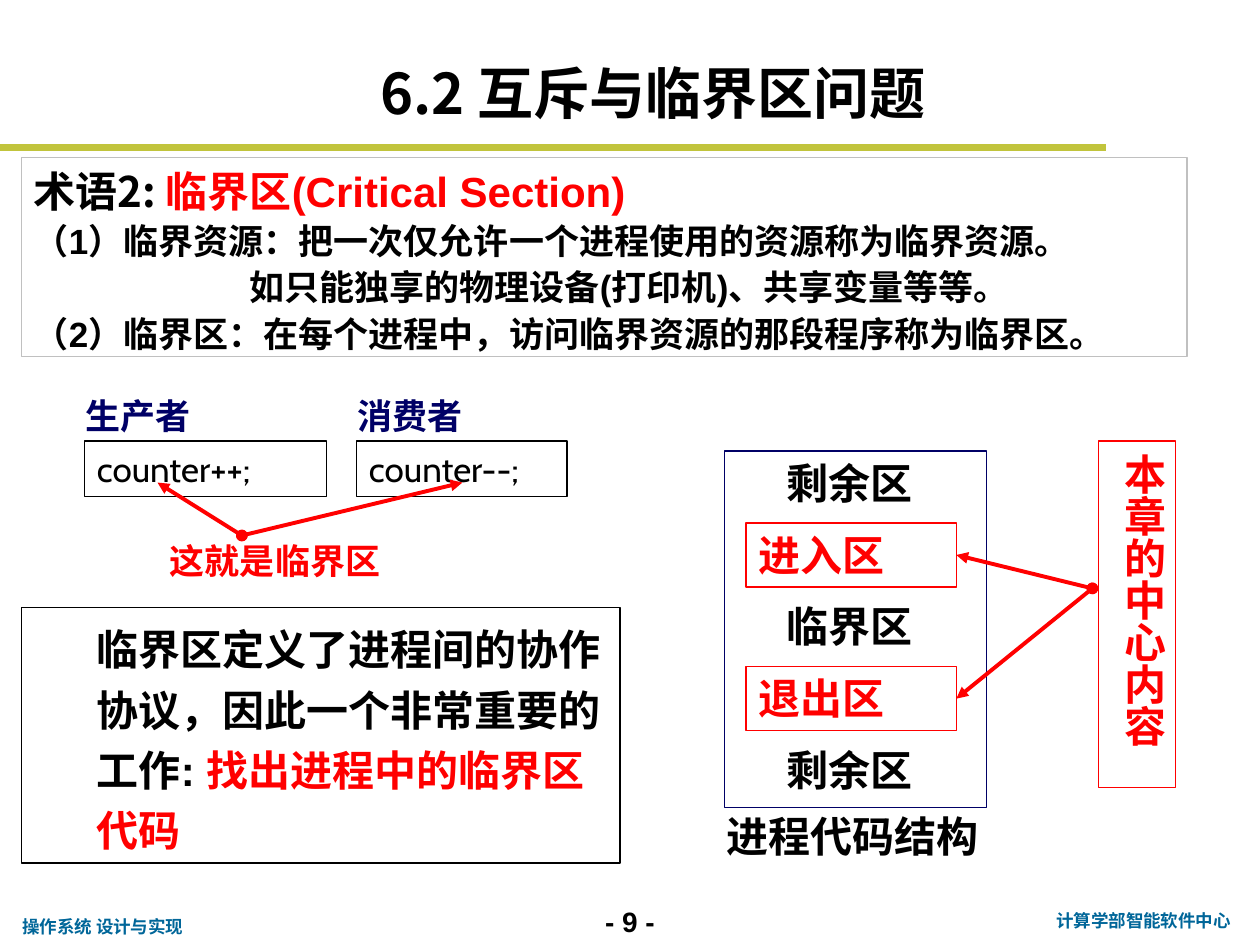
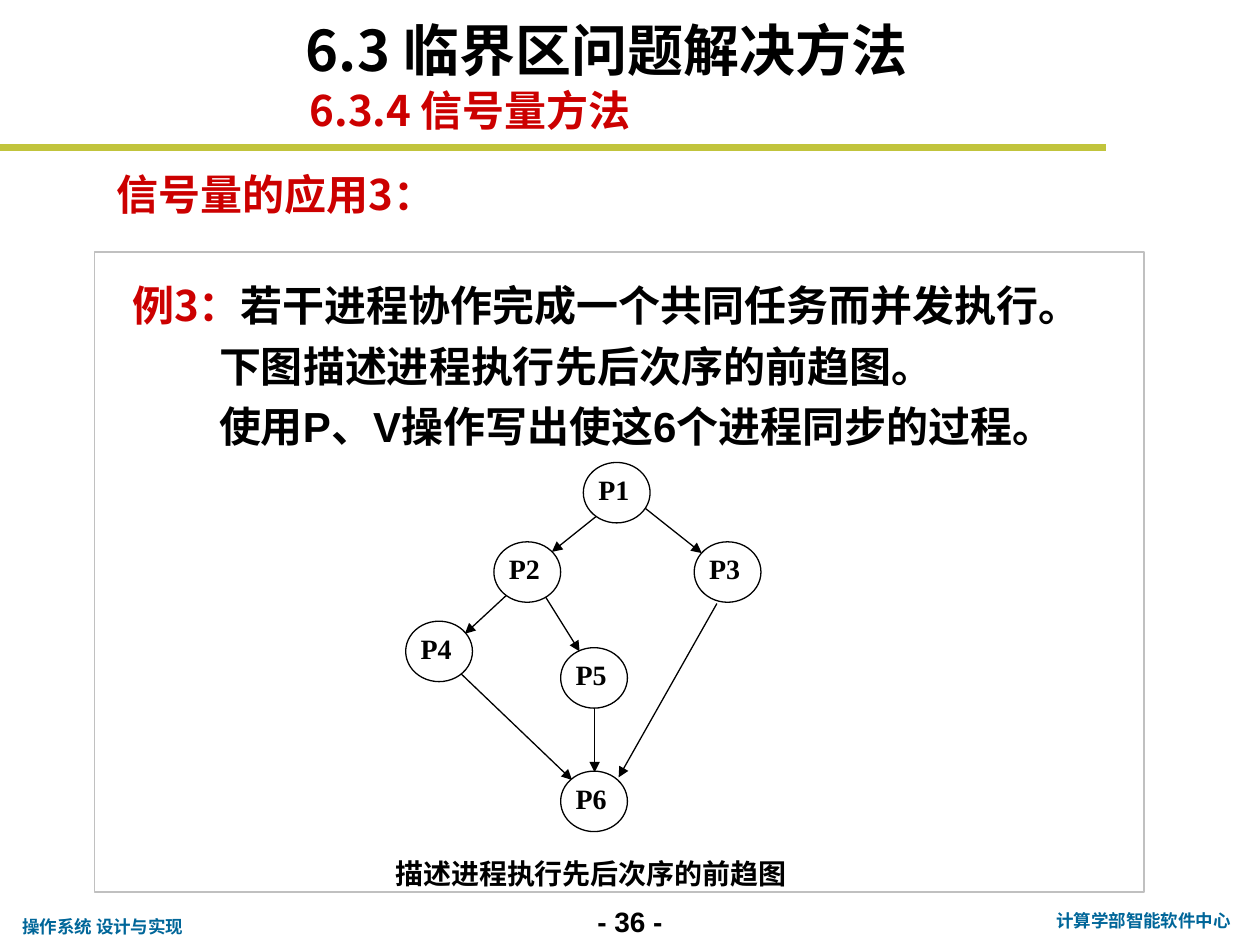
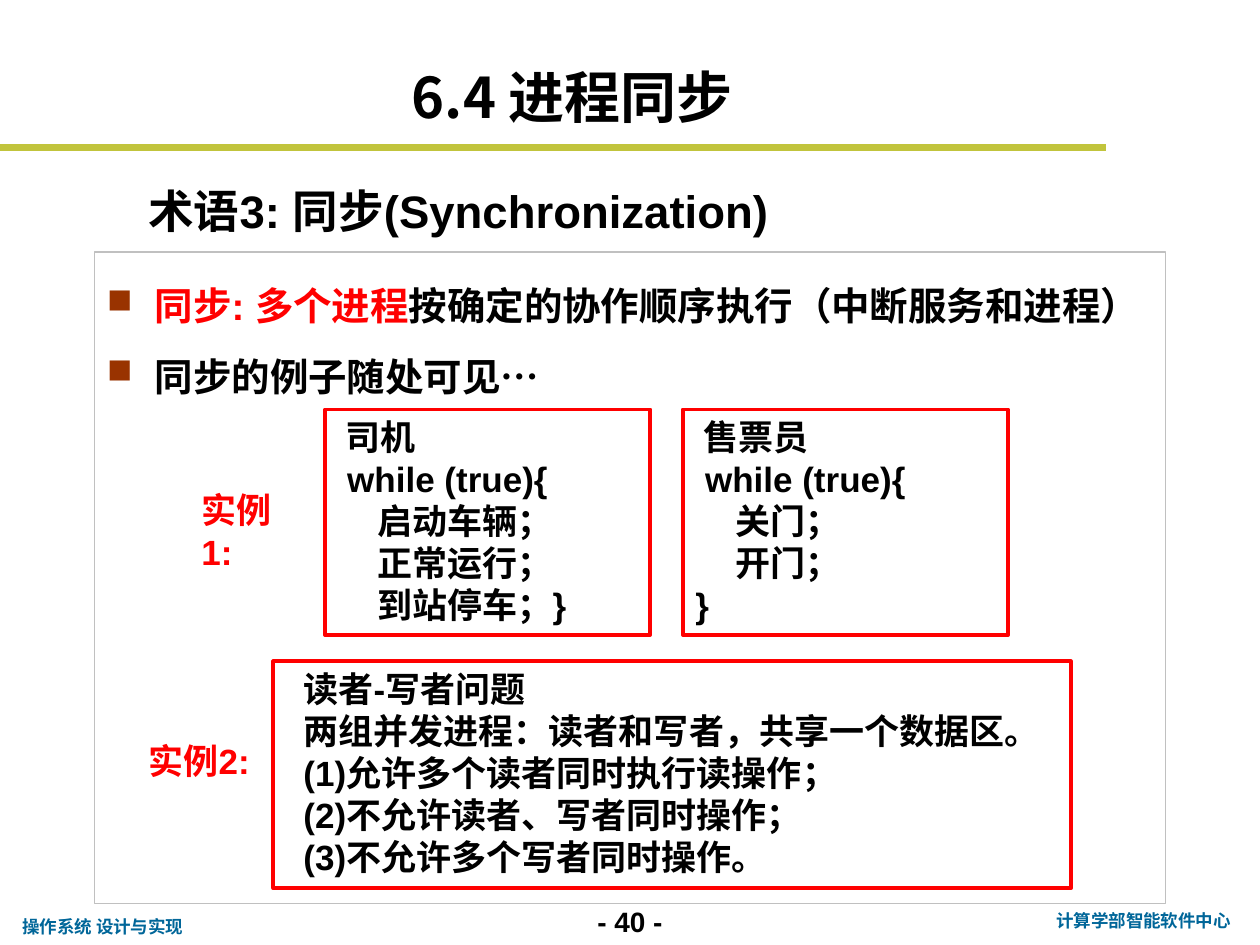
from lxml.etree import SubElement
from pptx import Presentation
from pptx.dml.color import RGBColor
from pptx.enum.shapes import MSO_CONNECTOR, MSO_SHAPE as Form
from pptx.enum.text import MSO_ANCHOR as Anchor, PP_ALIGN as Align
from pptx.oxml.ns import qn
from pptx.util import Inches, Pt

BLACK, RED, CRIMSON, NAVY = "000000", "FF0000", "CC0000", "000066"
GREY, WHITE, TEAL, OLIVE, BROWN = "C0C0C0", "FFFFFF", "006699", "C1C43C", "993300"
ARIAL, NOTO, TIMES, CABIN = "Arial", "Noto Sans CJK SC", "Times New Roman", "Cabin"


def hue(code):
    return RGBColor.from_string(code)


def mark(para, char):
    props = para._p.get_or_add_pPr()
    tint = SubElement(props, qn("a:buClr"))
    SubElement(tint, qn("a:srgbClr"), val=BROWN)
    SubElement(props, qn("a:buSzPct"), val="90000")
    SubElement(props, qn("a:buChar"), char=char)


def style(run, size, font, color, bold):
    face = run.font
    face.size, face.bold, face.name = Pt(size), bold, font
    face.color.rgb = hue(color)
    SubElement(run._r.get_or_add_rPr(), qn("a:ea"), typeface=NOTO)


def put(slide, box, *paras, size=20, font=ARIAL, color=BLACK, bold=True,
        align=Align.LEFT, anchor=Anchor.TOP, top=0.05, left=0, hang=0,
        spacing=None, bullet=None, line=None, weight=0.75, fill=None,
        form=Form.RECTANGLE, vert=None):
    """Place text. A paragraph is a string or a list of runs; a run is a
    string or (string, format); a dict in the list sets the left indent."""
    place = [Inches(n) for n in box]
    if line:
        shape = slide.shapes.add_shape(form, *place)
        shape.shadow.inherit = False
        shape.line.color.rgb = hue(line)
        shape.line.width = Pt(weight)
        if fill:
            shape.fill.solid()
            shape.fill.fore_color.rgb = hue(fill)
        else:
            shape.fill.background()
    else:
        shape = slide.shapes.add_textbox(*place)
    frame = shape.text_frame
    frame.word_wrap = True
    frame.vertical_anchor = anchor
    frame.margin_top = Inches(top)
    if vert:
        shape.element.txBody.bodyPr.set("vert", vert)
    base = dict(size=size, font=font, color=color, bold=bold)
    for i, runs in enumerate(paras):
        para = frame.paragraphs[0] if i == 0 else frame.add_paragraph()
        runs = [runs] if isinstance(runs, str) else runs
        start = left
        if bullet:
            mark(para, bullet)
        for part in runs:
            if isinstance(part, dict):
                start = part["left"]
                continue
            words, extra = (part, {}) if isinstance(part, str) else part
            run = para.add_run()
            run.text = words
            style(run, **{**base, **extra})
        props = para._p.get_or_add_pPr()
        props.set("marL", str(Inches(start)))
        props.set("indent", str(Inches(hang)))
        para.alignment = align
        if spacing:
            para.line_spacing = spacing
    return shape


def link(slide, start, end, color=BLACK, weight=0.75, head=None, tail=None):
    wire = slide.shapes.add_connector(
        MSO_CONNECTOR.STRAIGHT, *[Inches(n) for n in (*start, *end)])
    wire.line.color.rgb = hue(color)
    wire.line.width = Pt(weight)
    pen = wire.line._get_or_add_ln()
    for tag, kind in (("a:headEnd", head), ("a:tailEnd", tail)):
        if kind:
            SubElement(pen, qn(tag), type=kind)
    SubElement(wire.element.spPr, qn("a:effectLst"))
    return wire


def pointer(slide, start, end):
    return link(slide, start, end, RED, 2.25, "oval", "triangle")


def new_page(deck, number, title, x, y, w=5.5):
    """Add a slide with its title, band and footers."""
    slide = deck.slides.add_slide(deck.slide_layouts[6])
    link(slide, (0, 1.17), (8.78, 1.17), OLIVE, 4)
    put(slide, (4.5, 7.13, 1, 0.37), f"- {number} -", size=16, align=Align.CENTER)
    put(slide, (8.25, 7.17, 1.65, 0.27), "计算学部智能软件中心",
        size=10, color=TEAL, align=Align.CENTER)
    put(slide, (0.08, 7.22, 1.7, 0.27), "操作系统 设计与实现", size=10, color=TEAL)
    put(slide, (x, y, w, 0.63), title, size=32, font=NOTO, anchor=Anchor.BOTTOM)
    return slide


def terms(slide, x, y):
    big = dict(size=24, font=NOTO)
    put(slide, (x, y, 9.25, 1.58),
        [("术语2: ", big), ("临界区", {**big, "color": RED}),
         ("(Critical Section)", dict(size=24, color=RED))],
        "（1）临界资源：把一次仅允许一个进程使用的资源称为临界资源。",
        [dict(left=1.71), "如只能独享的物理设备(打印机)、共享变量等等。"],
        "（2）临界区：在每个进程中，访问临界资源的那段程序称为临界区。",
        anchor=Anchor.MIDDLE, spacing=1.1, line=GREY)


def counters(slide, x, y):
    for dx, w, role, code in ((0, 1.92, "生产者", "counter++;"),
                              (2.16, 1.67, "消费者", "counter--;")):
        put(slide, (x + dx, y, 1.42, 0.43), role, color=NAVY)
        put(slide, (x + dx + 0.09, y + 0.42, w, 0.44), code,
            font=CABIN, bold=False, line=BLACK)
    for dx in (0.67, 3.09):
        pointer(slide, (x + 1.34, y + 1.17), (x + dx, y + 0.75))
    put(slide, (x + 0.67, y + 1.15, 2.25, 0.43), "这就是临界区", color=RED)


def layout(slide, x, y):
    """Draw the code structure and the note that points into it."""
    put(slide, (x, y, 2.08, 2.83), line=NAVY)
    gates = []
    for i, name in enumerate(("剩余区", "进入区", "临界区", "退出区", "剩余区")):
        row = y + 0.57 * i
        if i % 2:
            gates.append(put(slide, (x + 0.17, row, 1.67, 0.51), name,
                             size=24, color=RED, line=RED))
        else:
            put(slide, (x + 0.08, row, 1.83, 0.5), name, size=24, align=Align.CENTER)
    put(slide, (x - 0.08, y + 2.8, 2.25, 0.5), "进程代码结构", size=24)
    for gate, dy in zip(gates, (0.83, 1.96)):
        wire = pointer(slide, (x + 2.92, y + 1.09), (x + 1.84, y + dy))
        wire.end_connect(gate, 3)
    put(slide, (x + 2.97, y - 0.08, 0.61, 2.75), "本章的中心内容",
        size=24, color=RED, line=RED, vert="eaVert")


def graph(slide, x, y):
    """Draw the precedence graph of the six processes."""
    wires = (((1.51, 0.43), (1.16, 0.71)), ((0.88, 0.98), (0.47, 1.36)),
             ((1.82, 0.30), (2.35, 0.72)), ((1.03, 0.94), (1.38, 1.50)),
             ((0.40, 1.64), (1.32, 2.52)), ((1.50, 1.90), (1.50, 2.46)),
             ((2.47, 1.12), (1.69, 2.50)))
    for start, end in wires:
        link(slide, *[(x + dx, y + dy) for dx, dy in (start, end)], tail="triangle")
    nodes = dict(P1=(1.41, 0), P2=(0.7, 0.63), P3=(2.29, 0.63),
                 P4=(0, 1.26), P5=(1.23, 1.47), P6=(1.23, 2.45))
    for name, (dx, dy) in nodes.items():
        put(slide, (x + dx, y + dy, 0.53, 0.48),
            line=BLACK, fill=WHITE, form=Form.OVAL)
        put(slide, (x + dx + 0.02, y + dy + 0.03, 0.71, 0.42), name,
            size=16, font=TIMES)
    put(slide, (x - 0.18, y + 3.08, 3.71, 0.42), "描述进程执行先后次序的前趋图",
        size=16, font=TIMES)


def samples(slide, x, y):
    """Place the two worked cases with their labels."""
    frame = dict(line=RED, weight=2.25)
    codes = ((" 司机", " while (true){", "     启动车辆；",
              "     正常运行；", "     到站停车；}"),
             (" 售票员", " while (true){", "     关门；", "     开门；", "}"))
    for i, lines in enumerate(codes):
        put(slide, (x + 1.5 + 2.84 * i, y, 2.58, 1.79), *lines, **frame)
    put(slide, (x + 0.42, y + 0.58, 1, 0.43), "实例1:", color=RED)
    put(slide, (x + 1.09, y + 2, 6.33, 1.8),
        "读者-写者问题",
        "两组并发进程：读者和写者，共享一个数据区。",
        "(1)允许多个读者同时执行读操作；",
        "(2)不允许读者、写者同时操作；",
        "(3)不允许多个写者同时操作。", left=0.14, fill=WHITE, **frame)
    put(slide, (x, y + 2.57, 1.08, 0.43), "实例2:", color=RED)


def section_page(deck):
    slide = new_page(deck, 9, "6.2 互斥与临界区问题", 2.92, 0.42)
    terms(slide, 0.17, 1.25)
    counters(slide, 0.58, 3.08)
    put(slide, (0.17, 4.82, 4.75, 2.03),
        ["临界区定义了进程间的协作协议，因此一个非常重要的工作: ",
         ("找出进程中的临界区代码", dict(color=RED))],
        size=24, left=0.5, spacing=1.2, line=BLACK)
    layout(slide, 5.75, 3.58)


def signal_page(deck):
    slide = new_page(deck, 36, "6.3 临界区问题解决方法", 2.33, 0.08)
    head = dict(size=24, font=NOTO, color=CRIMSON)
    put(slide, (2.36, 0.66, 5.3, 0.42), "6.3.4 信号量方法", anchor=Anchor.MIDDLE, **head)
    put(slide, (0.83, 1.33, 6.83, 0.42), "信号量的应用3：", anchor=Anchor.MIDDLE, **head)
    deep = dict(left=0.89)
    put(slide, (0.75, 2, 8.33, 5.08),
        [("例3：", head), "若干进程协作完成一个共同任务而并发执行。"],
        [deep, "下图描述进程执行先后次序的前趋图。"],
        [deep, "使用P、V操作写出使这6个进程同步的过程。"],
        size=24, left=0.2, top=0.14, spacing=1.2, line=GREY)
    graph(slide, 3.22, 3.67)


def sync_page(deck):
    slide = new_page(deck, 40, "6.4 进程同步", 3.17, 0.45, 3.92)
    put(slide, (0.75, 2, 8.5, 5.17), line=GREY)
    put(slide, (1.08, 1.42, 6.42, 0.5), "术语3: 同步(Synchronization)",
        size=26, anchor=Anchor.MIDDLE)
    points = ([("同步: 多个进程", dict(color=RED)),
               "按确定的协作顺序执行（中断服务和进程）"], "同步的例子随处可见…")
    for i, point in enumerate(points):
        put(slide, (0.75, 2.08 + 0.56 * i, 8.66, 0.6), point, size=22,
            left=0.38, hang=-0.38, spacing=1.3, bullet="■")
    samples(slide, 1.08, 3.25)


def main():
    deck = Presentation()
    deck.slide_width, deck.slide_height = Inches(10), Inches(7.5)
    for build in (section_page, signal_page, sync_page):
        build(deck)
    deck.save("out.pptx")


if __name__ == "__main__":
    main()
